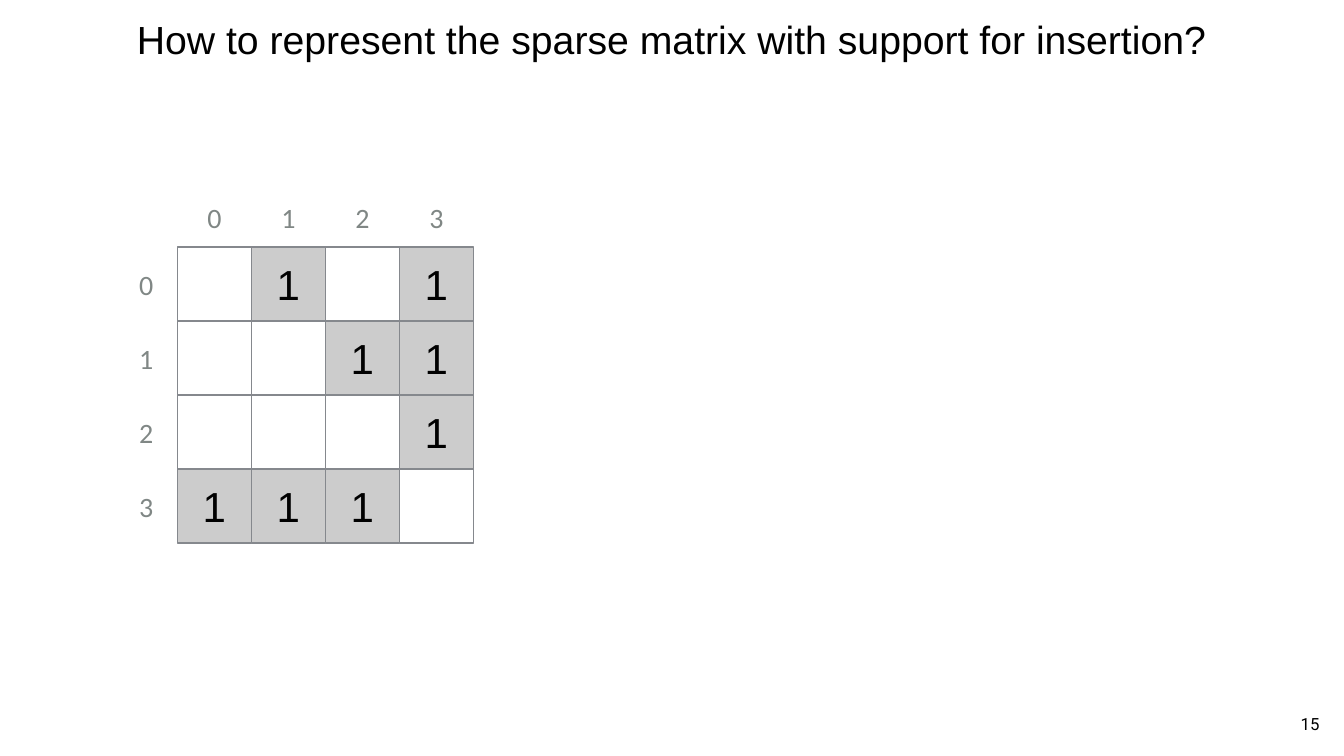
from lxml import etree
from pptx import Presentation
from pptx.dml.color import RGBColor
from pptx.enum.shapes import MSO_SHAPE as Shape
from pptx.enum.text import MSO_ANCHOR as Anchor, PP_ALIGN as Align
from pptx.oxml import parse_xml
from pptx.util import Cm, Pt

BLACK = RGBColor(0x00, 0x00, 0x00)
WHITE = RGBColor(0xFF, 0xFF, 0xFF)
FILLED = RGBColor(0xCC, 0xCC, 0xCC)
GRID = RGBColor(0x85, 0x88, 0x8D)
INDEX = RGBColor(0x80, 0x87, 0x85)

MATRIX = [
    [0, 1, 0, 1],
    [0, 0, 1, 1],
    [0, 0, 0, 1],
    [1, 1, 1, 0],
]
CELL = 3.73
LEFT, TOP = 8.94, 12.45
INDEX_W, INDEX_H = 1.45, 1.9

TITLE_SHADOW = (
    '<a:effectLst xmlns:a="http://schemas.openxmlformats.org/drawingml/2006/main">'
    '<a:outerShdw blurRad="63500" dist="50800" dir="2700000">'
    '<a:srgbClr val="000000"><a:alpha val="50000"/></a:srgbClr>'
    '</a:outerShdw></a:effectLst>'
)

prs = Presentation()
prs.slide_width, prs.slide_height = Cm(67.74), Cm(38.1)
slide = prs.slides.add_slide(prs.slide_layouts[6])


def write(shape, text, size, font, colour, inset=0.15, anchor=Anchor.MIDDLE):
    frame = shape.text_frame
    frame.word_wrap = True
    frame.vertical_anchor = anchor
    frame.margin_left = frame.margin_right = Cm(inset)
    frame.margin_top = frame.margin_bottom = Cm(inset)
    paragraph = frame.paragraphs[0]
    paragraph.alignment = Align.CENTER
    run = paragraph.add_run()
    run.text = text
    run.font.size = Pt(size)
    run.font.name = font
    run.font.color.rgb = colour
    return run


def add_text(left, top, width, height, *style, **layout):
    box = slide.shapes.add_textbox(Cm(left), Cm(top), Cm(width), Cm(height))
    return box, write(box, *style, **layout)


# Page number
page_number, _ = add_text(65.4, 35.81, 1.27, 1.3, "15", 24, "Roboto", BLACK,
                          anchor=Anchor.TOP)
page_number.text_frame.word_wrap = False

# Title with a soft shadow behind the letters
_, title_run = add_text(0.71, 0.71, 66.32, 2.54,
                        "How to represent the sparse matrix with support for insertion?",
                        56, "Arial", BLACK, inset=0)
title_fill = title_run.font._element.find(
    "{http://schemas.openxmlformats.org/drawingml/2006/main}solidFill")
title_fill.addnext(parse_xml(TITLE_SHADOW))

# Matrix cells
for row, values in enumerate(MATRIX):
    for column, value in enumerate(values):
        cell = slide.shapes.add_shape(
            Shape.RECTANGLE, Cm(LEFT + column * CELL), Cm(TOP + row * CELL),
            Cm(CELL), Cm(CELL))
        cell.shadow.inherit = False
        cell.fill.solid()
        cell.fill.fore_color.rgb = FILLED if value else WHITE
        cell.line.color.rgb = GRID
        cell.line.width = Pt(2)
        if value:
            write(cell, str(value), 60, "Arial", BLACK)

# Column indices above the matrix
for column in range(len(MATRIX[0])):
    add_text(LEFT + column * CELL + (CELL - INDEX_W) / 2, 9.98, INDEX_W, INDEX_H,
             str(column), 40, "Calibri", INDEX)

# Row indices left of the matrix
for row in range(len(MATRIX)):
    add_text(6.65, TOP + row * CELL + (CELL - INDEX_H) / 2, INDEX_W, INDEX_H,
             str(row), 40, "Calibri", INDEX)

prs.save("out.pptx")
